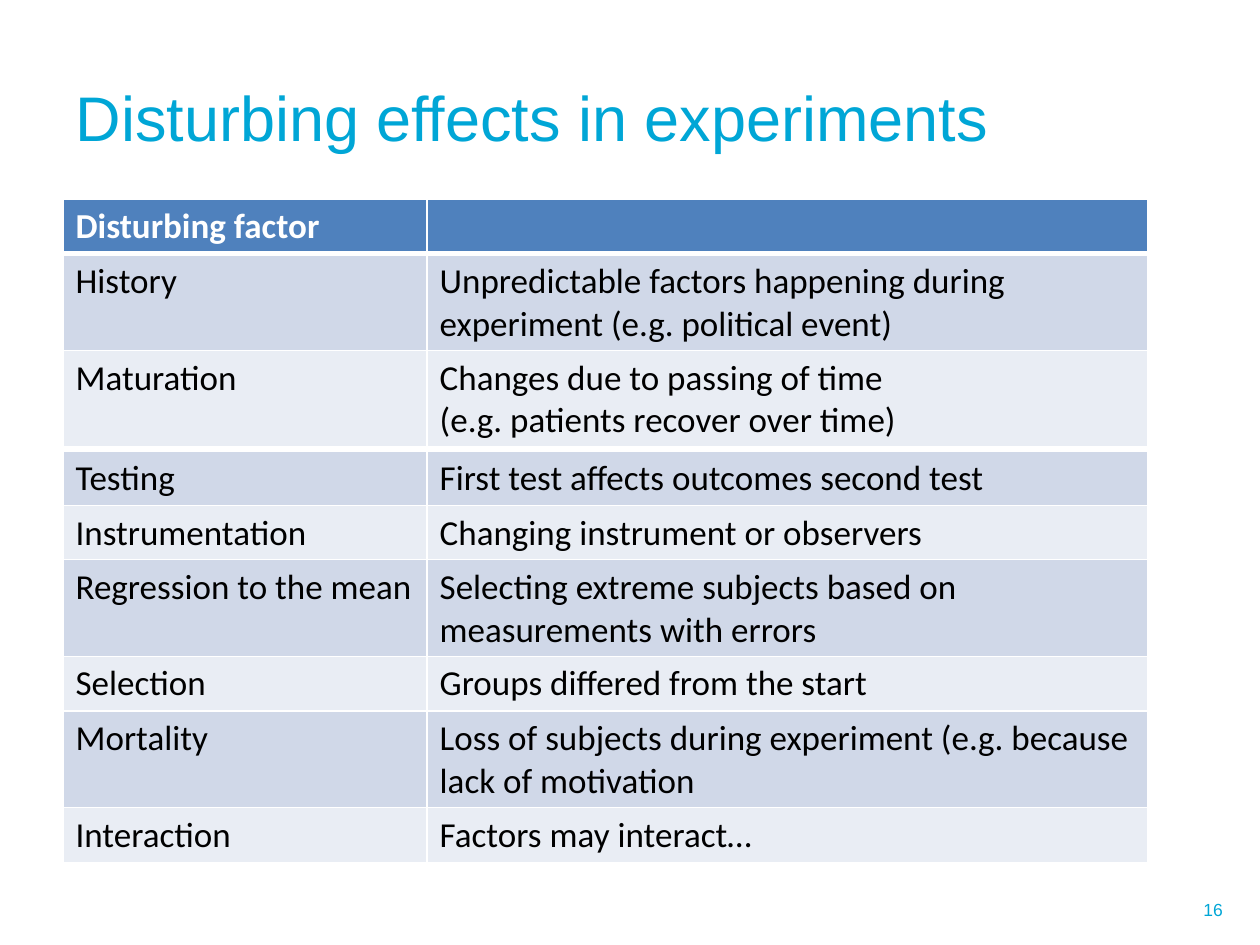
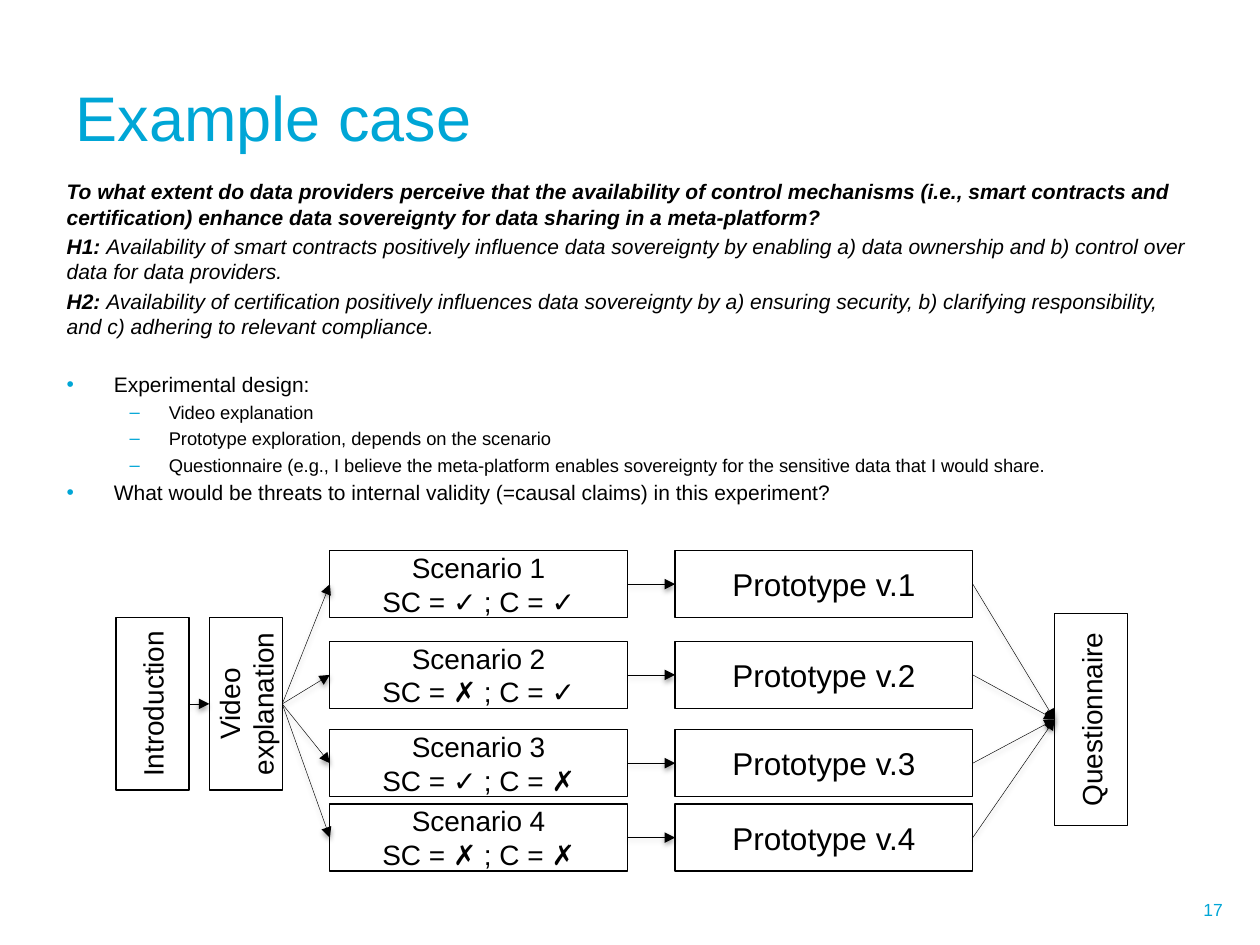
from dataclasses import dataclass

import pptx
import pptx.dml.color
import pptx.enum.shapes
import pptx.enum.text
import pptx.oxml
import pptx.oxml.ns
import pptx.util
from pptx.util import Cm, Pt

COLORS = {
    "accent": "00A6D6",
    "text": "000000",
    "paper": "FFFFFF",
    "header": "4F81BD",
    "band_dark": "D0D8E8",
    "band_light": "E9EDF4",
}
FONT = "Arial"
TABLE_FONT = "Calibri"
DRAWING_NS = 'xmlns:a="http://schemas.openxmlformats.org/drawingml/2006/main"'

TABLE_LEFT = 1.27
COLUMN_WIDTHS = (7.34, 14.52)
ONE_LINE_ROW, TWO_LINE_ROW = 1.1, 1.95


@dataclass
class FactorRow:
    factor: str
    meaning: str
    height: float = ONE_LINE_ROW


@dataclass
class FactorTable:
    top: float
    rows: list[FactorRow]
    has_header: bool = False


@dataclass
class BodyItem:
    text: str
    lead: str = ""
    bullet: str = ""
    level: int = 0
    size: float = 12
    bold: bool = False
    italic: bool = False
    space_before: float = 2.4


@dataclass
class FlowBox:
    text: str
    left: float
    top: float
    width: float
    height: float
    size: float = 16
    vertical: bool = False


FACTOR_TABLES = [
    FactorTable(4.01, [
        FactorRow("Disturbing factor", ""),
        FactorRow("History", "Unpredictable factors happening during experiment "
                  "(e.g. political event)", TWO_LINE_ROW),
        FactorRow("Maturation", "Changes due to passing of time\n"
                  "(e.g. patients recover over time)", TWO_LINE_ROW),
    ], has_header=True),
    FactorTable(9.09, [
        FactorRow("Testing", "First test affects outcomes second test"),
        FactorRow("Instrumentation", "Changing instrument or observers"),
    ]),
    FactorTable(11.28, [
        FactorRow("Regression to the mean", "Selecting extreme subjects based on "
                  "measurements with errors", TWO_LINE_ROW),
        FactorRow("Selection", "Groups differed from the start"),
    ]),
    FactorTable(14.33, [
        FactorRow("Mortality", "Loss of subjects during experiment "
                  "(e.g. because lack of motivation", TWO_LINE_ROW),
        FactorRow("Interaction", "Factors may interact…"),
    ]),
]

BODY_ITEMS = [
    BodyItem("To what extent do data providers perceive that the availability of control "
             "mechanisms (i.e., smart contracts and certification) enhance data sovereignty "
             "for data sharing in a meta-platform?", bold=True, italic=True, space_before=0),
    BodyItem("Availability of smart contracts positively influence data sovereignty by "
             "enabling a) data ownership and b) control over data for data providers.",
             lead="H1: ", italic=True),
    BodyItem("Availability of certification positively influences data sovereignty by "
             "a) ensuring security, b) clarifying responsibility, and c) adhering to "
             "relevant compliance.", lead="H2: ", italic=True),
    BodyItem("Experimental design:", bullet="•", space_before=19),
    BodyItem("Video explanation", bullet="–", level=1, size=10.5),
    BodyItem("Prototype exploration, depends on the scenario", bullet="–", level=1, size=10.5),
    BodyItem("Questionnaire (e.g., I believe the meta-platform enables sovereignty for the "
             "sensitive data that I would share.", bullet="–", level=1, size=10.5),
    BodyItem("What would be threats to internal validity (=causal claims) in this "
             "experiment?", bullet="•"),
]

INTRODUCTION = FlowBox("Introduction", 2.34, 12.45, 1.47, 3.48, vertical=True)
VIDEO = FlowBox("Video explanation", 4.22, 12.45, 1.47, 3.48, vertical=True)
QUESTIONNAIRE = FlowBox("Questionnaire", 21.26, 12.37, 1.47, 4.27, vertical=True)
SCENARIO_TOPS = (11.1, 12.93, 14.71, 16.21)
SCENARIO_CONTROLS = ("✓✓", "✗✓", "✓✗", "✗✗")
SCENARIO_LEFT, PROTOTYPE_LEFT = 6.65, 13.61
LANE_WIDTH, LANE_HEIGHT = 6, 1.35


def rgb(name: str) -> pptx.dml.color.RGBColor:
    return pptx.dml.color.RGBColor.from_string(COLORS[name])


def style_font(font, size: float, color: str = "text", name: str = FONT,
               bold: bool = False, italic: bool = False) -> None:
    font.name, font.size, font.bold, font.italic = name, Pt(size), bold, italic
    font.color.rgb = rgb(color)


def style_frame(frame, size: float, color: str, align, name: str = FONT,
                bold: bool = False) -> None:
    for para in frame.paragraphs:
        para.alignment = align
        for span in para.runs:
            style_font(span.font, size, color, name, bold)


def place(shape, left: float, top: float, width: float, height: float) -> None:
    shape.left, shape.top = Cm(left), Cm(top)
    shape.width, shape.height = Cm(width), Cm(height)


def add_page(deck, layout_index: int, title: str, number: int):
    """Add a slide with the shared title style and page number."""
    page = deck.slides.add_slide(deck.slide_layouts[layout_index])
    heading = page.shapes.title
    place(heading, 1.27, 0.76, 23.22, 3.18)
    frame = heading.text_frame
    frame.text = title
    frame.auto_size = pptx.enum.text.MSO_AUTO_SIZE.NONE
    frame.vertical_anchor = pptx.enum.text.MSO_ANCHOR.MIDDLE
    style_frame(frame, 36, "accent", pptx.enum.text.PP_ALIGN.LEFT)

    footer = page.shapes.add_textbox(Cm(18.47), Cm(17.83), Cm(6.43), Cm(1.02)).text_frame
    footer.word_wrap = True
    footer.text = str(number)
    footer.vertical_anchor = pptx.enum.text.MSO_ANCHOR.MIDDLE
    style_frame(footer, 10, "accent", pptx.enum.text.PP_ALIGN.RIGHT)
    return page


def set_borders(cell, bottom_width: float) -> None:
    properties = cell._tc.get_or_add_tcPr()
    for index, side in enumerate("LRTB"):
        width = Pt(bottom_width if side == "B" else 1)
        properties.insert(index, pptx.oxml.parse_xml(
            f'<a:ln{side} {DRAWING_NS} w="{width}"><a:solidFill>'
            f'<a:srgbClr val="{COLORS["paper"]}"/></a:solidFill></a:ln{side}>'))


def add_factor_table(page, block: FactorTable) -> None:
    total_height = sum(row.height for row in block.rows)
    table = page.shapes.add_table(
        len(block.rows), len(COLUMN_WIDTHS), Cm(TABLE_LEFT), Cm(block.top),
        Cm(sum(COLUMN_WIDTHS)), Cm(total_height)).table
    table.first_row = block.has_header
    table.horz_banding = False
    for column, width in zip(table.columns, COLUMN_WIDTHS):
        column.width = Cm(width)
    bands = ["band_dark", "band_light"]
    fills = ["header"] + bands if block.has_header else bands
    for index, (row, fill) in enumerate(zip(block.rows, fills)):
        table.rows[index].height = Cm(row.height)
        is_header = fill == "header"
        for cell, text in zip(table.rows[index].cells, (row.factor, row.meaning)):
            cell.text_frame.text = text
            cell.fill.solid()
            cell.fill.fore_color.rgb = rgb(fill)
            set_borders(cell, 3 if is_header else 1)
            style_frame(cell.text_frame, 20, "paper" if is_header else "text",
                        pptx.enum.text.PP_ALIGN.LEFT, TABLE_FONT, is_header)


def set_bullet(para, item: BodyItem) -> None:
    properties = para._p.get_or_add_pPr()
    if not item.bullet:
        margin, indent = 0, 0
        parts = ["<a:buNone {}/>"]
    else:
        margin, indent = (2.06, -0.79) if item.level else (0.95, -0.95)
        parts = [f'<a:buClr {{}}><a:srgbClr val="{COLORS["accent"]}"/></a:buClr>',
                 f'<a:buChar {{}} char="{item.bullet}"/>']
    properties.set("marL", str(Cm(margin)))
    properties.set("indent", str(Cm(indent)))
    for part in parts:
        properties.append(pptx.oxml.parse_xml(part.format(DRAWING_NS)))


def fill_body(page, items: list[BodyItem]) -> None:
    body = page.placeholders[1]
    place(body, 1.09, 3.48, 23.22, 7.01)
    frame = body.text_frame
    frame.auto_size = pptx.enum.text.MSO_AUTO_SIZE.NONE
    for index, item in enumerate(items):
        para = frame.add_paragraph() if index else frame.paragraphs[0]
        para.level = item.level
        para.alignment = pptx.enum.text.PP_ALIGN.LEFT
        para.space_before = Pt(item.space_before)
        set_bullet(para, item)
        for text, bold in ((item.lead, True), (item.text, item.bold)):
            if text:
                span = para.add_run()
                span.text = text
                style_font(span.font, item.size, bold=bold, italic=item.italic)


def add_flow_box(page, box: FlowBox):
    shape = page.shapes.add_shape(
        pptx.enum.shapes.MSO_SHAPE.RECTANGLE,
        Cm(box.left), Cm(box.top), Cm(box.width), Cm(box.height))
    shape.shadow.inherit = False
    shape.fill.solid()
    shape.fill.fore_color.rgb = rgb("paper")
    shape.line.color.rgb = rgb("text")
    shape.line.width = Pt(0.75)
    frame = shape.text_frame
    frame.text = box.text
    frame.word_wrap = True
    frame.vertical_anchor = pptx.enum.text.MSO_ANCHOR.MIDDLE
    if box.vertical:
        frame._txBody.find(pptx.oxml.ns.qn("a:bodyPr")).set("vert", "vert270")
    style_frame(frame, box.size, "text", pptx.enum.text.PP_ALIGN.CENTER)
    return shape


def add_arrow(page, source, target) -> None:
    """Join the right side of source to the left side of target."""
    arrow = page.shapes.add_connector(
        pptx.enum.shapes.MSO_CONNECTOR.STRAIGHT, Cm(0), Cm(0), Cm(1), Cm(1))
    arrow.begin_connect(source, 3)
    arrow.end_connect(target, 1)
    arrow.line.color.rgb = rgb("text")
    arrow.line.width = Pt(0.25)
    arrow.line._get_or_add_ln().append(
        pptx.oxml.parse_xml(f'<a:tailEnd {DRAWING_NS} type="triangle"/>'))
    arrow._element.spPr.append(pptx.oxml.parse_xml(
        f'<a:effectLst {DRAWING_NS}><a:outerShdw blurRad="{Pt(3.1)}" dist="{Pt(1.6)}" '
        f'dir="5400000" rotWithShape="0"><a:srgbClr val="{COLORS["text"]}">'
        '<a:alpha val="38000"/></a:srgbClr></a:outerShdw></a:effectLst>'))


def add_experiment_flow(page) -> None:
    introduction, video, questionnaire = (
        add_flow_box(page, box) for box in (INTRODUCTION, VIDEO, QUESTIONNAIRE))
    add_arrow(page, introduction, video)
    lanes = zip(SCENARIO_TOPS, SCENARIO_CONTROLS)
    for number, (top, (contract, certificate)) in enumerate(lanes, start=1):
        scenario = add_flow_box(page, FlowBox(
            f"Scenario {number}\vSC = {contract} ; C = {certificate}",
            SCENARIO_LEFT, top, LANE_WIDTH, LANE_HEIGHT))
        prototype = add_flow_box(page, FlowBox(
            f"Prototype v.{number}", PROTOTYPE_LEFT, top, LANE_WIDTH, LANE_HEIGHT, size=18))
        add_arrow(page, video, scenario)
        add_arrow(page, scenario, prototype)
        add_arrow(page, prototype, questionnaire)


def main() -> None:
    deck = pptx.Presentation()
    deck.slide_width, deck.slide_height = Cm(25.4), Cm(19.05)

    effects_page = add_page(deck, 5, "Disturbing effects in experiments", 16)
    for block in FACTOR_TABLES:
        add_factor_table(effects_page, block)

    case_page = add_page(deck, 1, "Example case", 17)
    fill_body(case_page, BODY_ITEMS)
    add_experiment_flow(case_page)

    deck.save("out.pptx")


if __name__ == "__main__":
    main()
